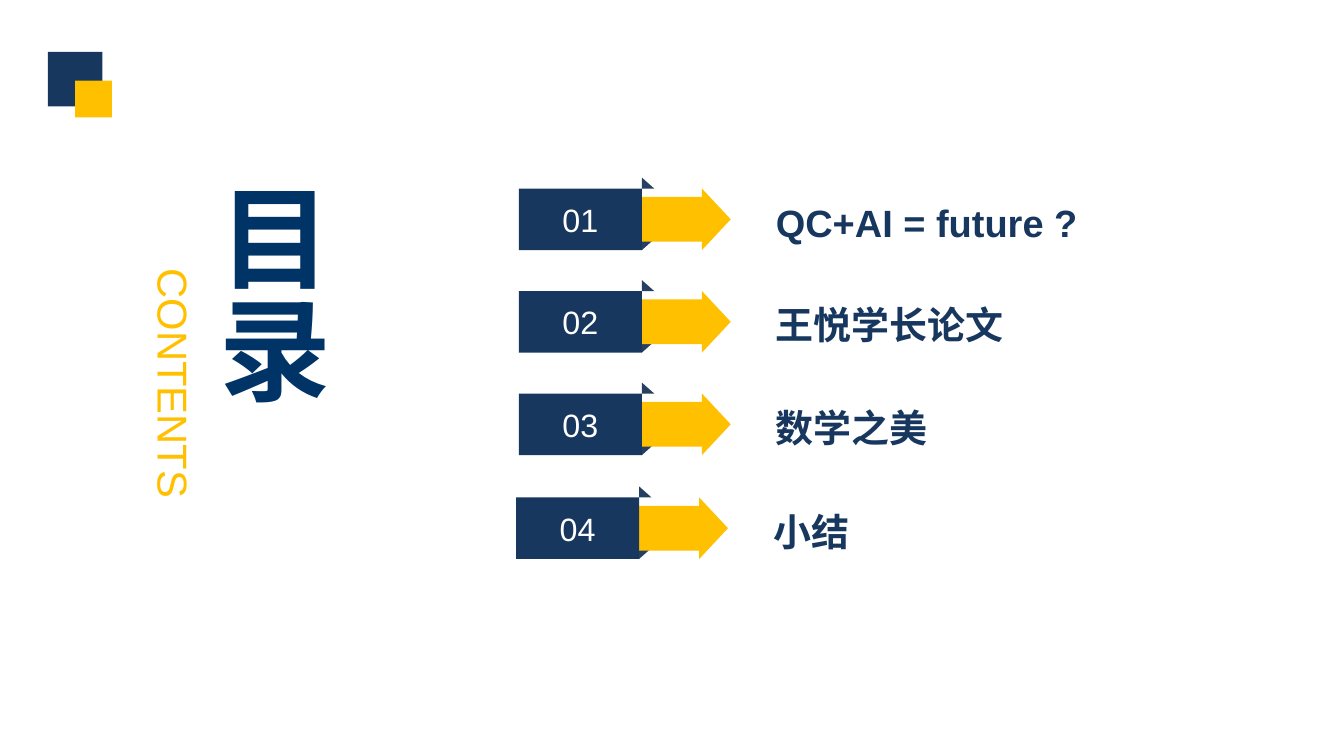
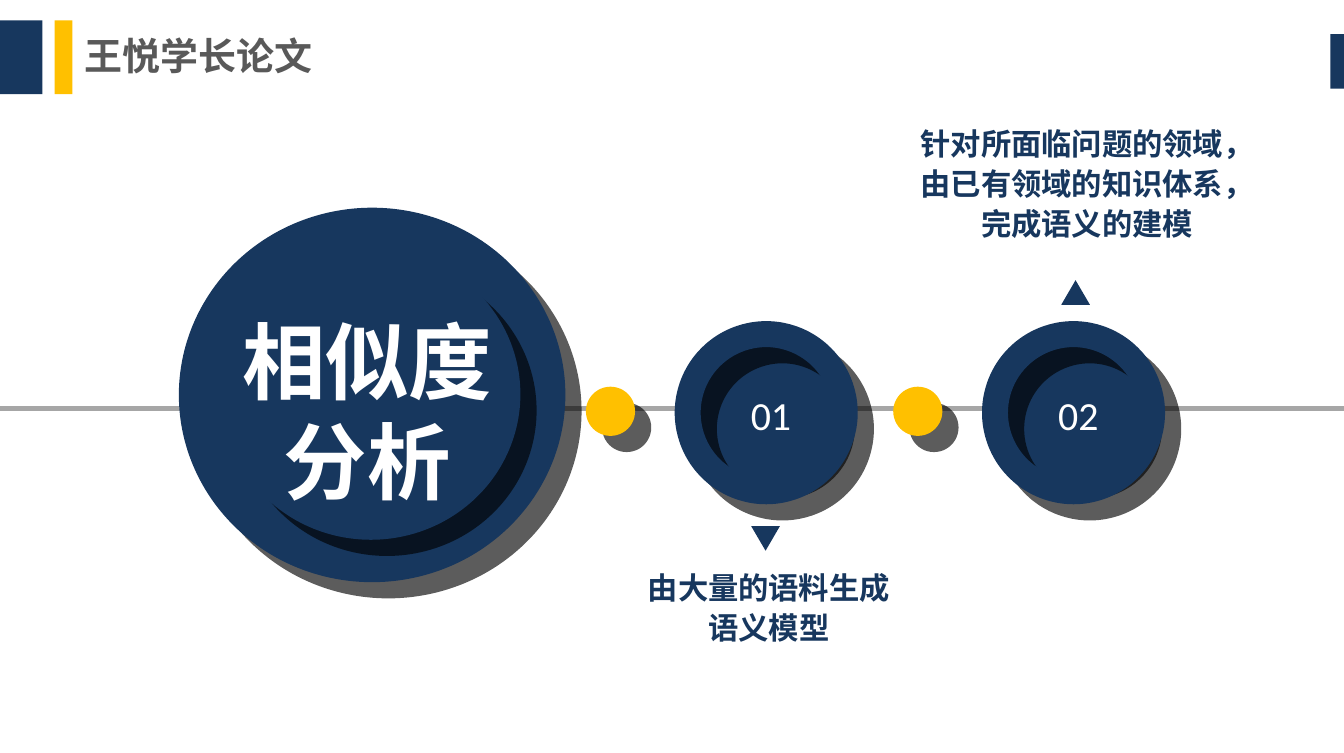
from lxml.etree import SubElement
from pptx import Presentation
from pptx.dml.color import RGBColor
from pptx.enum.shapes import MSO_CONNECTOR, MSO_SHAPE as Preset
from pptx.enum.text import MSO_ANCHOR as Anchor, PP_ALIGN as Align
from pptx.oxml.ns import qn
from pptx.util import Inches, Pt

NAVY, FOLD, GOLD = "17375E", "254061", "FFC000"
INK, GREY, RULE, WHITE = "003466", "595959", "A6A6A6", "FFFFFF"
CJK = "Noto Sans CJK SC"
WIDTH, HEIGHT = 9.84, 5.51


def rgb(value):
    """Turn a hex string into a colour."""
    return RGBColor.from_string(value)


def add_shape(page, preset, box, color, adjustments=()):
    """Add a flat preset shape in box (left, top, width, height)."""
    shape = page.shapes.add_shape(preset, *map(Inches, box))
    shape.shadow.inherit = False
    shape.fill.solid()
    shape.fill.fore_color.rgb = rgb(color)
    shape.line.fill.background()
    for index, value in enumerate(adjustments):
        shape.adjustments[index] = value
    return shape


def write(shape, lines, size, color, font="Arial", bold=False,
          align=Align.CENTER, anchor=Anchor.MIDDLE, spacing=None):
    """Fill a shape with uniformly formatted text."""
    frame = shape.text_frame
    frame.word_wrap = True
    frame.vertical_anchor = anchor
    frame.margin_left = frame.margin_right = 0
    frame.margin_top = frame.margin_bottom = 0
    frame.text = lines
    for para in frame.paragraphs:
        para.alignment = align
        para.line_spacing = spacing
        for span in para.runs:
            span.font.name = font
            span.font.size = Pt(size)
            span.font.bold = bold
            span.font.color.rgb = rgb(color)
            SubElement(span.font._element, qn("a:ea"), typeface=CJK)


def add_text(page, box, lines, size, color, **style):
    """Add a text box without margins."""
    shape = page.shapes.add_textbox(*map(Inches, box))
    write(shape, lines, size, color, **style)
    return shape


def add_raised(page, preset, box, color, adjustments=()):
    """Add a shape that casts a hard shadow to the lower right."""
    shape = add_shape(page, preset, box, color, adjustments)
    effects = shape.element.spPr.find(qn("a:effectLst"))
    shadow = SubElement(effects, qn("a:outerShdw"), dist=str(Pt(12.1)),
                        dir="2700000", algn="ctr", rotWithShape="0")
    black = SubElement(shadow, qn("a:srgbClr"), val="000000")
    SubElement(black, qn("a:alpha"), val="64000")
    return shape


def add_contents_title(page, left, top):
    """Place the vertical title and its turned subtitle."""
    title = add_text(page, (left + 0.4, top, 0.98, 2.89), "目录", 59, INK, bold=True)
    title.element.txBody.bodyPr.set("vert", "eaVert")
    subtitle = add_text(page, (left - 1.08, top + 1.29, 2.51, 0.37), "CONTENTS", 22,
                        GOLD, anchor=Anchor.TOP)
    subtitle.rotation = 90


def add_entry(page, left, top, number, label):
    """Place one contents entry: folded ribbon, arrow, number and label."""
    lower = add_shape(page, Preset.RIGHT_TRIANGLE, (left + 0.9, top + 0.37, 0.09, 0.08), FOLD)
    lower.element.spPr.find(qn("a:xfrm")).set("flipV", "1")
    add_shape(page, Preset.RIGHT_TRIANGLE, (left + 0.9, top - 0.08, 0.09, 0.08), FOLD)
    add_shape(page, Preset.RIGHT_ARROW, (left + 0.23, top, 1.32, 0.45), GOLD, (0.726, 0.468))
    ribbon = add_shape(page, Preset.RECTANGLE, (left, top, 0.9, 0.45), NAVY)
    write(ribbon, number, 17, WHITE)
    add_text(page, (left + 1.88, top + 0.08, 2.52, 0.33), label, 20, NAVY,
             bold=True, align=Align.LEFT)


def add_header(page, title):
    """Place the title with its edge bars."""
    add_shape(page, Preset.RECTANGLE, (0, 0.15, 0.31, 0.54), NAVY)
    add_shape(page, Preset.RECTANGLE, (0.4, 0.15, 0.13, 0.54), GOLD)
    add_shape(page, Preset.RECTANGLE, (WIDTH - 0.1, 0.25, 0.1, 0.4), NAVY)
    add_text(page, (0.62, 0.24, 1.77, 0.33), title, 20, GREY, font="Calibri",
             bold=True, align=Align.LEFT)


def add_axis(page, top):
    """Draw the horizontal line across the page."""
    axis = page.shapes.add_connector(MSO_CONNECTOR.STRAIGHT, 0, Inches(top),
                                     Inches(WIDTH), Inches(top))
    axis.line.color.rgb = rgb(RULE)
    axis.line.width = Pt(2.25)
    SubElement(axis.element.spPr, qn("a:effectLst"))


def add_topic(page, left, top, lines):
    """Place the large double disc with the topic."""
    add_raised(page, Preset.OVAL, (left, top, 2.83, 2.74), NAVY)
    add_raised(page, Preset.OVAL, (left + 0.31, top + 0.3, 2.19, 2.13), NAVY)
    add_text(page, (left + 0.26, top + 0.75, 2.24, 1.47), lines, 44, WHITE,
             font=CJK, bold=True, anchor=Anchor.TOP)


def add_step(page, left, top, number):
    """Place a gold dot followed by a numbered ring."""
    add_raised(page, Preset.OVAL, (left - 0.65, top + 0.48, 0.36, 0.36), GOLD)
    add_raised(page, Preset.OVAL, (left + 0.15, top + 0.14, 1.05, 1.04), NAVY)
    add_raised(page, Preset.DONUT, (left, top, 1.34, 1.34), NAVY, (0.142,))
    add_text(page, (left + 0.46, top + 0.46, 0.49, 0.45), number, 21, WHITE, font="Calibri")


def add_caption(page, box, lines):
    """Place the explanation of a step."""
    add_text(page, box, lines, 16, NAVY, font=CJK, bold=True,
             anchor=Anchor.TOP, spacing=1.1)


def build_contents(page):
    """Build the contents slide."""
    add_shape(page, Preset.RECTANGLE, (0.35, 0.38, 0.4, 0.4), NAVY)
    add_shape(page, Preset.RECTANGLE, (0.55, 0.59, 0.27, 0.27), GOLD)
    add_contents_title(page, 1.1, 1.33)
    entries = [(3.8, 1.38, "QC+AI = future ?"), (3.8, 2.13, "王悦学长论文"),
               (3.8, 2.88, "数学之美"), (3.78, 3.64, "小结")]
    for index, (left, top, label) in enumerate(entries, 1):
        add_entry(page, left, top, f"{index:02}", label)


def build_similarity(page):
    """Build the similarity analysis slide."""
    add_axis(page, 2.99)
    add_topic(page, 1.31, 1.52, "相似度\n分析")
    for index in range(2):
        add_step(page, 4.94 + 2.25 * index, 2.35, f"{index + 1:02}")
    pointer = add_shape(page, Preset.ISOSCELES_TRIANGLE, (5.5, 3.85, 0.21, 0.18), NAVY)
    pointer.rotation = 180
    add_shape(page, Preset.ISOSCELES_TRIANGLE, (7.77, 2.05, 0.21, 0.18), NAVY)
    add_caption(page, (4.68, 4.14, 1.9, 0.59), "由大量的语料生成语义模型")
    add_caption(page, (6.68, 0.89, 2.56, 0.88),
                "针对所面临问题的领域，由已有领域的知识体系，完成语义的建模")
    add_header(page, "王悦学长论文")


def main():
    """Build and save the deck."""
    deck = Presentation()
    deck.slide_width, deck.slide_height = Inches(WIDTH), Inches(HEIGHT)
    for build in (build_contents, build_similarity):
        build(deck.slides.add_slide(deck.slide_layouts[6]))
    deck.save("out.pptx")


if __name__ == "__main__":
    main()
